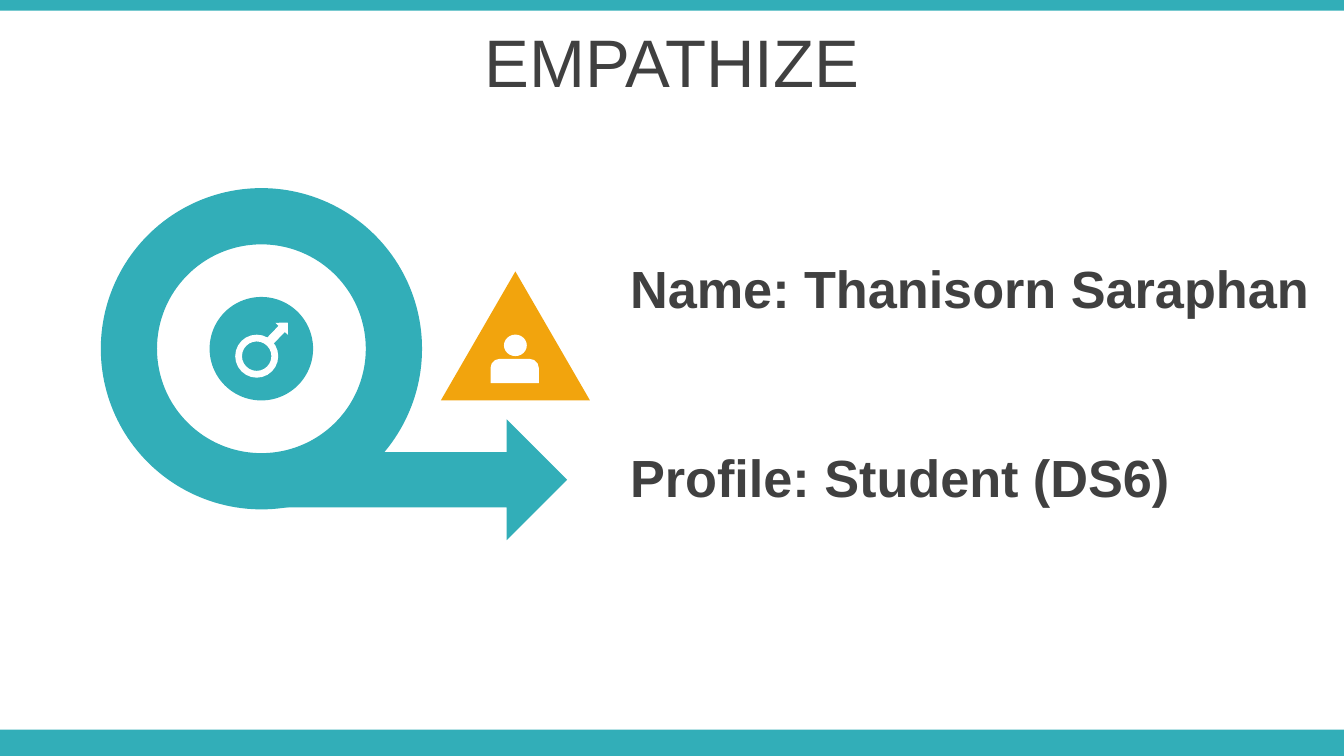
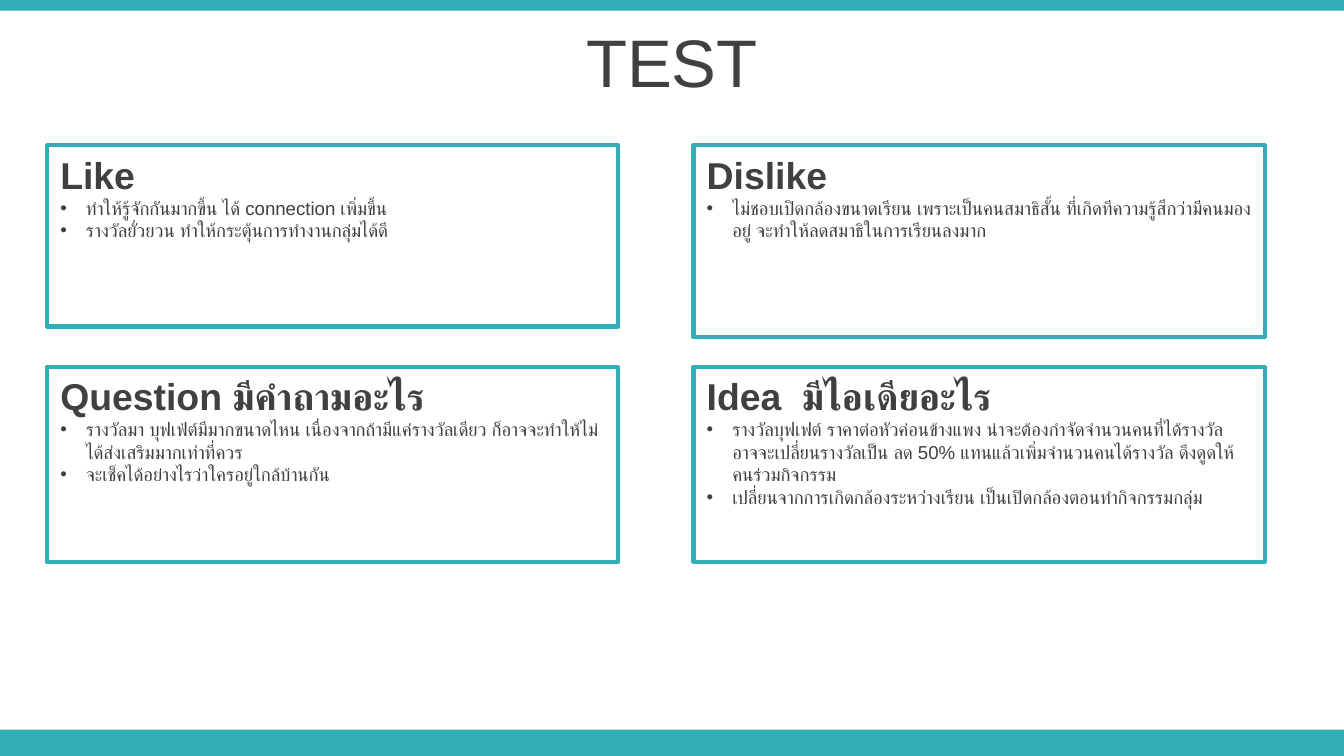
from dataclasses import dataclass

from lxml import etree
from pptx import Presentation
from pptx.dml.color import RGBColor
from pptx.enum.shapes import MSO_SHAPE
from pptx.enum.text import MSO_ANCHOR, PP_ALIGN
from pptx.oxml.ns import qn
from pptx.util import Inches, Pt

RECT = MSO_SHAPE.RECTANGLE
DONUT = MSO_SHAPE.DONUT
OVAL = MSO_SHAPE.OVAL
TRIANGLE = MSO_SHAPE.ISOSCELES_TRIANGLE
RIGHT_ARROW = MSO_SHAPE.RIGHT_ARROW
UP_ARROW = MSO_SHAPE.UP_ARROW
SHOULDERS = MSO_SHAPE.ROUND_2_SAME_RECTANGLE
TOP, MIDDLE = MSO_ANCHOR.TOP, MSO_ANCHOR.MIDDLE
LEFT, CENTER = PP_ALIGN.LEFT, PP_ALIGN.CENTER


@dataclass(frozen=True)
class Theme:
    font: str = "Arial"
    teal: RGBColor = RGBColor(0x32, 0xAE, 0xB8)
    orange: RGBColor = RGBColor(0xF2, 0xA4, 0x0D)
    white: RGBColor = RGBColor(0xFF, 0xFF, 0xFF)
    text: RGBColor = RGBColor(0x40, 0x40, 0x40)
    title: int = 36
    profile: int = 28
    heading: int = 20
    body: int = 10
    border: float = 2.25


T = Theme()
WIDTH = 10
HEIGHT = WIDTH * 9 / 16
BANDS = [(0, 5.43, WIDTH, 0.2), (0, 0, WIDTH, 0.08)]
TITLE_BOX = (0, 0.14, WIDTH, 0.63)

PROFILE = ["Name: Thanisorn Saraphan", "Profile: Student (DS6)"]
PROFILE_BOX = (4.59, 1.86, 5.3, 1.99)

LOOP = [
    (DONUT, (0.75, 1.4, 2.39, 2.39), T.teal, [0.175], 0),
    (RIGHT_ARROW, (2.05, 3.12, 2.17, 0.9), T.teal, [0.455, 0.5], 0),
    (OVAL, (1.56, 2.21, 0.77, 0.77), T.teal, [], 0),
]
PERSON = [
    (TRIANGLE, (3.28, 2.02, 1.11, 0.96), T.orange, [], 0),
    (SHOULDERS, (3.65, 2.67, 0.36, 0.18), T.white, [0.38, 0], 0),
    (OVAL, (3.75, 2.49, 0.17, 0.16), T.white, [], 0),
]
MALE_SIGN = [
    (DONUT, (1.75, 2.49, 0.32, 0.32), T.white, [0.158], 0),
    (UP_ARROW, (2, 2.37, 0.13, 0.22), T.white, [], 43.9),
]

CARD_LEFTS, CARD_TOPS, CARD_WIDTH = (0.35, 5.16), (1.08, 2.73), 4.25
CARDS = [
    ("Like", 1.35, [
        "ทำให้รู้จักกันมากขึ้น ได้ connection เพิ่มขึ้น",
        "รางวัลยั่วยวน ทำให้กระตุ้นการทำงานกลุ่มได้ดี",
    ]),
    ("Dislike", 1.43, [
        "ไม่ชอบเปิดกล้องขนาดเรียน เพราะเป็นคนสมาธิสั้น ที่เกิดทีความรู้สึกว่ามีคนมองอยู่ "
        "จะทำให้ลดสมาธิในการเรียนลงมาก",
    ]),
    ("Question มีคำถามอะไร", 1.45, [
        "รางวัลมา บุฟเฟ่ต์มีมากขนาดไหน เนื่องจากถ้ามีแค่รางวัลเดียว "
        "ก็อาจจะทำให้ไม่ได้ส่งเสริมมากเท่าที่ควร",
        "จะเช็คได้อย่างไรว่าใครอยู่ใกล้บ้านกัน",
    ]),
    ("Idea  มีไอเดียอะไร", 1.45, [
        "รางวัลบุฟเฟต์ ราคาต่อหัวค่อนข้างแพง น่าจะต้องกำจัดจำนวนคนที่ได้รางวัล "
        "อาจจะเปลี่ยนรางวัลเป็น ลด 50% แทนแล้วเพิ่มจำนวนคนได้รางวัล ดึงดูดให้คนร่วมกิจกรรม",
        "เปลี่ยนจากการเกิดกล้องระหว่างเรียน เป็นเปิดกล้องตอนทำกิจกรรมกลุ่ม",
    ]),
]


def inches(box):
    return [Inches(v) for v in box]


def draw(shapes, kind, box, fill=None, adjustments=(), rotation=0):
    sp = shapes.add_shape(kind, *inches(box))
    sp.shadow.inherit = False
    sp.rotation = rotation
    for i, value in enumerate(adjustments):
        sp.adjustments[i] = value
    if fill is None:
        sp.fill.background()
        sp.line.color.rgb = T.teal
        sp.line.width = Pt(T.border)
    else:
        sp.fill.solid()
        sp.fill.fore_color.rgb = fill
        sp.line.fill.background()
    return sp


def draw_group(slide, parts):
    shapes = slide.shapes.add_group_shape().shapes
    for part in parts:
        draw(shapes, *part)


def setup_frame(sp, anchor):
    tf = sp.text_frame
    tf.word_wrap = True
    tf.vertical_anchor = anchor
    return tf


def write(p, text, size, bold=False, align=LEFT, before=0):
    p.text = text
    p.alignment = align
    p.space_before = Pt(before)
    for r in p.runs:
        r.font.name = T.font
        r.font.size = Pt(size)
        r.font.bold = bold
        r.font.color.rgb = T.text
        etree.SubElement(r.font._element, qn("a:cs"), typeface=T.font)


def add_bullet(p):
    pPr = p._p.get_or_add_pPr()
    pPr.set("marL", str(Inches(0.19)))
    pPr.set("indent", str(-Inches(0.19)))
    etree.SubElement(pPr, qn("a:buFont"), typeface=T.font)
    etree.SubElement(pPr, qn("a:buChar"), char="•")


def new_slide(prs, title):
    slide = prs.slides.add_slide(prs.slide_layouts[6])
    for band in BANDS:
        draw(slide.shapes, RECT, band, T.teal)
    tf = setup_frame(slide.shapes.add_textbox(*inches(TITLE_BOX)), MIDDLE)
    write(tf.paragraphs[0], title, T.title, align=CENTER, before=5)
    return slide


def empathize_slide(prs):
    slide = new_slide(prs, "EMPATHIZE")
    for parts in (LOOP, PERSON, MALE_SIGN):
        draw_group(slide, parts)
    tf = setup_frame(slide.shapes.add_textbox(*inches(PROFILE_BOX)), TOP)
    name, role = PROFILE
    write(tf.paragraphs[0], name, T.profile, bold=True, before=1.5)
    write(tf.add_paragraph(), role, T.profile, bold=True, before=67.5)


def test_slide(prs):
    slide = new_slide(prs, "TEST")
    for i, (heading, height, points) in enumerate(CARDS):
        row, col = divmod(i, len(CARD_LEFTS))
        box = (CARD_LEFTS[col], CARD_TOPS[row], CARD_WIDTH, height)
        tf = setup_frame(draw(slide.shapes, RECT, box), TOP)
        write(tf.paragraphs[0], heading, T.heading, bold=True)
        for point in points:
            p = tf.add_paragraph()
            write(p, point, T.body)
            add_bullet(p)


def main():
    prs = Presentation()
    prs.slide_width, prs.slide_height = Inches(WIDTH), Inches(HEIGHT)
    empathize_slide(prs)
    test_slide(prs)
    prs.save("out.pptx")


if __name__ == "__main__":
    main()
